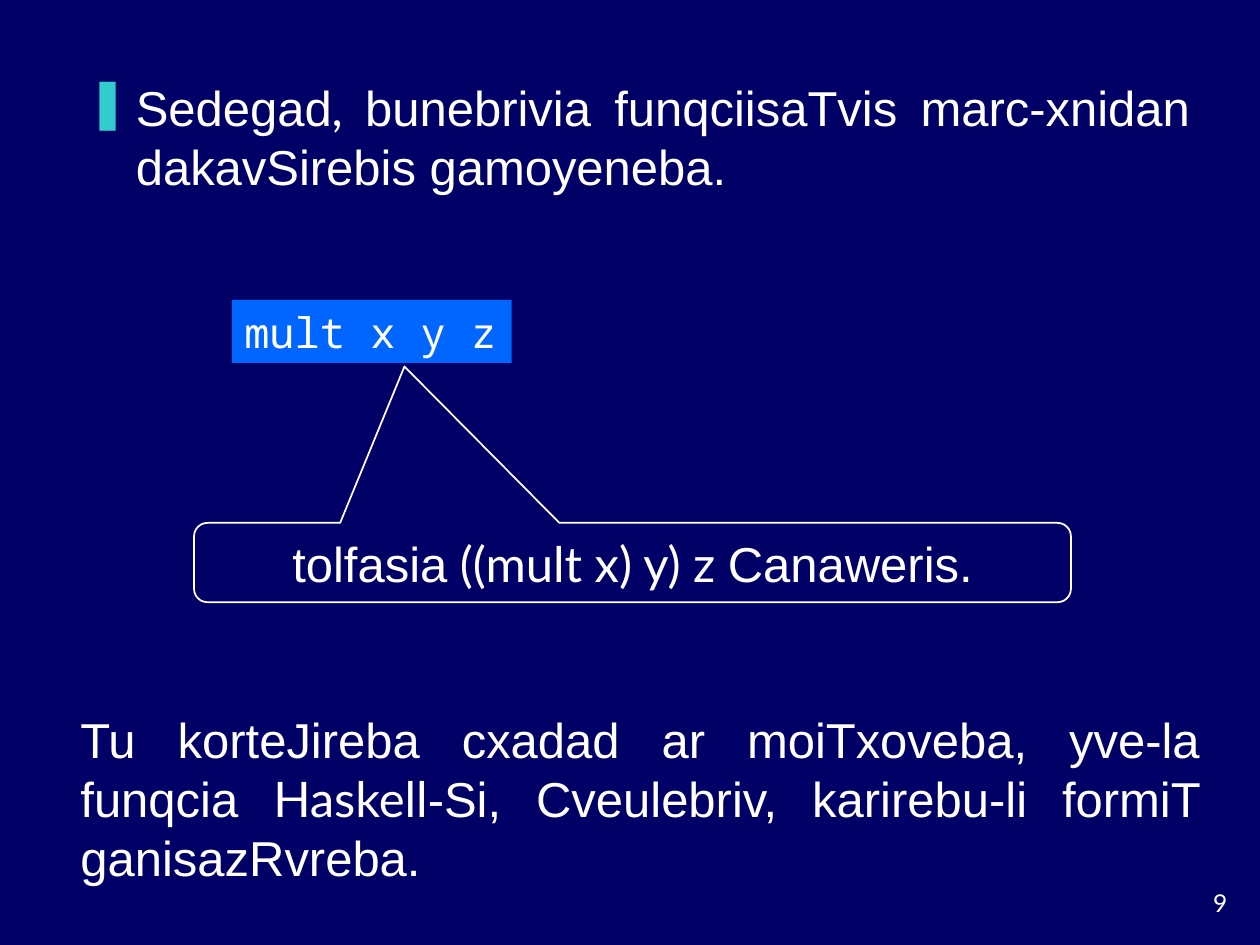
from dataclasses import dataclass

from lxml import etree
from pptx import Presentation
from pptx.dml.color import RGBColor
from pptx.enum.shapes import MSO_SHAPE
from pptx.enum.text import MSO_ANCHOR, MSO_AUTO_SIZE, PP_ALIGN
from pptx.oxml.ns import qn
from pptx.util import Inches, Pt

RECT = MSO_SHAPE.RECTANGLE
CALLOUT = MSO_SHAPE.ROUNDED_RECTANGULAR_CALLOUT
TOP, MIDDLE = MSO_ANCHOR.TOP, MSO_ANCHOR.MIDDLE
LEFT, CENTER, RIGHT, JUSTIFY = (
    PP_ALIGN.LEFT, PP_ALIGN.CENTER, PP_ALIGN.RIGHT, PP_ALIGN.JUSTIFY)
FIT_SHAPE = MSO_AUTO_SIZE.SHAPE_TO_FIT_TEXT


@dataclass(frozen=True)
class Theme:
    background: str = "000066"
    text: str = "FFFFFF"
    accent: str = "33CCCC"
    code_fill: str = "0066FF"
    body_font: str = "Arial"
    latin_font: str = "Lato"
    code_font: str = "Noto Sans Mono"
    body_size: float = 28
    code_size: float = 24
    number_size: float = 14
    leading: float = 1.2


class SlideBuilder:
    """Places elements on a grid of 100 columns by 75 rows."""

    COLUMNS, ROWS = 100, 75

    def __init__(self, theme):
        self.theme = theme
        self.deck = Presentation()
        self.deck.slide_width, self.deck.slide_height = Inches(10), Inches(7.5)
        self.slide = self.deck.slides.add_slide(self.deck.slide_layouts[6])
        self.paint(self.slide.background.fill, theme.background)

    @staticmethod
    def paint(fill, color):
        fill.solid()
        fill.fore_color.rgb = RGBColor.from_string(color)

    def place(self, column, row, columns, rows):
        cell_width = self.deck.slide_width / self.COLUMNS
        cell_height = self.deck.slide_height / self.ROWS
        return (round(column * cell_width), round(row * cell_height),
                round(columns * cell_width), round(rows * cell_height))

    def fill_text(self, frame, runs, size, align, anchor=MIDDLE, wrap=True):
        """Fill a frame with one paragraph of (text, font name) runs."""
        frame.word_wrap = wrap
        frame.vertical_anchor = anchor
        if anchor == MIDDLE:
            frame.auto_size = FIT_SHAPE
        paragraph = frame.paragraphs[0]
        paragraph.alignment = align
        paragraph.font.size = Pt(size)
        paragraph.font.color.rgb = RGBColor.from_string(self.theme.text)
        if len(runs) == 1:
            paragraph.font.name = runs[0][1]
        for text, font_name in runs:
            run = paragraph.add_run()
            run.text = text
            if len(runs) > 1:
                run.font.name = font_name
        return paragraph

    def text(self, box, runs, size, align, anchor=TOP):
        frame = self.slide.shapes.add_textbox(*self.place(*box)).text_frame
        return self.fill_text(frame, runs, size, align, anchor)

    def body(self, box, runs, anchor=TOP):
        size = self.theme.body_size
        paragraph = self.text(box, runs, size, JUSTIFY, anchor)
        paragraph.line_spacing = Pt(size * self.theme.leading)
        return paragraph

    def bullet(self, box, runs, mark, indent):
        properties = self.body(box, runs)._p.get_or_add_pPr()
        properties.set("marL", str(Inches(indent)))
        properties.set("indent", str(-Inches(indent)))
        # Bullet elements go before the default run properties
        color = etree.Element(qn("a:buClr"))
        etree.SubElement(color, qn("a:srgbClr"), val=self.theme.accent)
        character = etree.Element(qn("a:buChar"), char=mark)
        run_defaults = properties.find(qn("a:defRPr"))
        run_defaults.addprevious(color)
        run_defaults.addprevious(character)

    def shape(self, kind, box, runs, size, align, fill=None, line=None, wrap=True):
        shape = self.slide.shapes.add_shape(kind, *self.place(*box))
        shape.shadow.inherit = False
        if fill:
            self.paint(shape.fill, fill)
        else:
            shape.fill.background()
        if line:
            self.paint(shape.line.fill, line)
            shape.line.width = Pt(1)
        else:
            shape.line.fill.background()
        self.fill_text(shape.text_frame, runs, size, align, wrap=wrap)
        return shape

    def callout(self, box, runs, tip, corner):
        """tip is the pointer's offset from the centre, in shares of the box."""
        shape = self.shape(CALLOUT, box, runs, self.theme.body_size, CENTER,
                           line=self.theme.text)
        for index, value in enumerate((*tip, corner)):
            shape.adjustments[index] = value


def main():
    theme = Theme()
    body, latin = theme.body_font, theme.latin_font
    builder = SlideBuilder(theme)

    # Page number
    builder.text((91.7, 70, 6.7, 3.3), [("9", latin)], theme.number_size, RIGHT)

    # Opening statement
    builder.bullet(
        (6, 5.7, 89.4, 11.7),
        [("Sedegad", body), (", ", latin),
         ("bunebrivia funqciisaTvis marc-xnidan dakavSirebis gamoyeneba.", body)],
        mark="❚", indent=0.38)

    # Code sample and its explanation
    builder.shape(RECT, (18.4, 23.8, 22.2, 5), [("mult x y z", theme.code_font)],
                  theme.code_size, LEFT, fill=theme.code_fill, wrap=False)
    builder.callout(
        (15.4, 41.5, 69.6, 6.3),
        [("tolfasia", body), (" ((mult x) y) z ", latin), ("Canaweris.", body)],
        tip=(-0.26, -2.47), corner=0.17)

    # Closing remark
    builder.body(
        (5.4, 55.8, 90.8, 15.1),
        [("Tu korteJireba cxadad ar moiTxoveba, yve-la funqcia ", body),
         ("Haskell", latin),
         ("-Si, Cveulebriv, karirebu-li formiT ganisazRvreba.", body)],
        anchor=MIDDLE)

    builder.deck.save("out.pptx")


if __name__ == "__main__":
    main()
